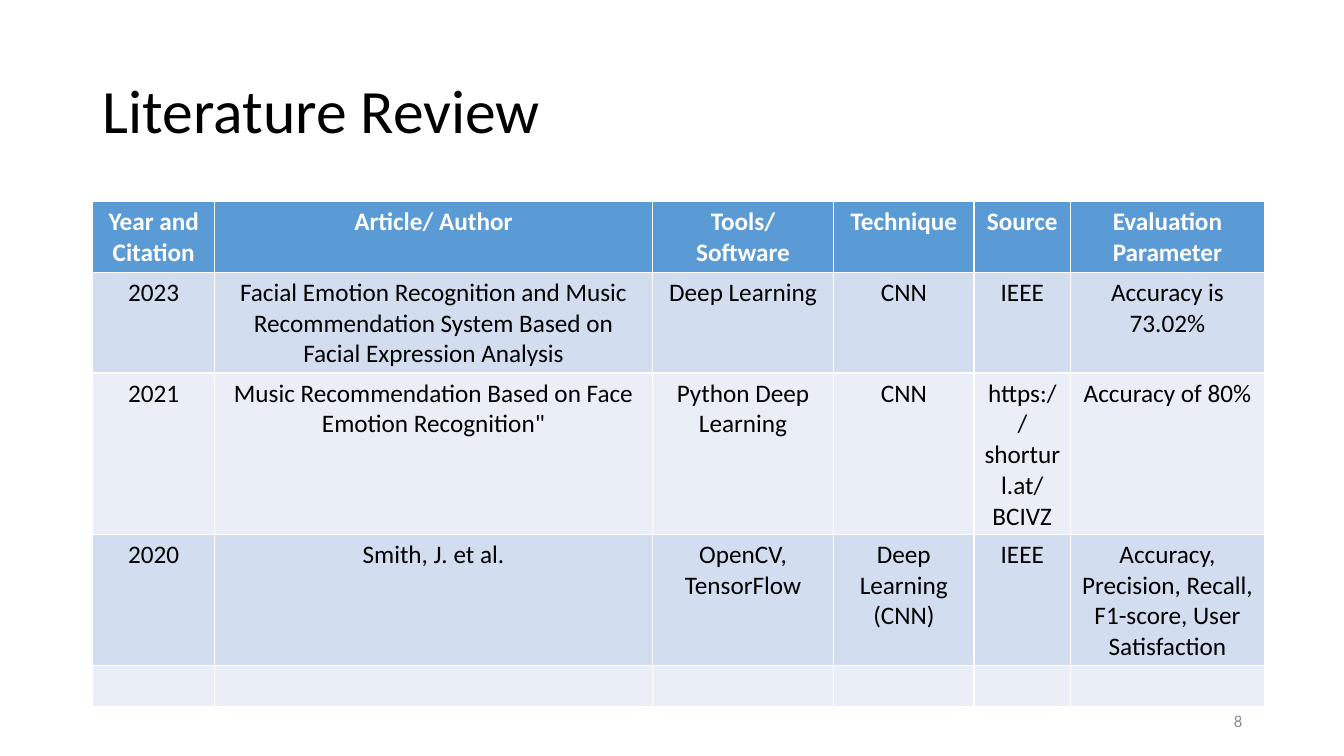
from pptx import Presentation
from pptx.dml.color import RGBColor
from pptx.enum.text import MSO_ANCHOR, PP_ALIGN
from pptx.util import Inches, Pt

LEFT, CENTER, RIGHT = PP_ALIGN.LEFT, PP_ALIGN.CENTER, PP_ALIGN.RIGHT
MIDDLE = MSO_ANCHOR.MIDDLE
FONT = "Calibri"
COLORS = {
    "text": "000000",
    "header_text": "FFFFFF",
    "page_number": "8C8C8C",
    "header": "5B9BD5",
    "band_dark": "D2DEEF",
    "band_light": "EAEFF7",
}
COLUMN_WIDTHS = [1.21, 4.34, 1.8, 1.39, 0.96, 1.92]
ROW_HEIGHT = 0.41
TABLE_ROWS = [
    ["Year and\nCitation", "Article/ Author", "Tools/ Software", "Technique",
     "Source", "Evaluation Parameter"],
    ["2023",
     "Facial Emotion Recognition and Music Recommendation System Based on "
     "Facial Expression Analysis",
     "Deep Learning", "CNN", "IEEE", "Accuracy is 73.02%"],
    ["2021", 'Music Recommendation Based on Face Emotion Recognition"',
     "Python Deep Learning", "CNN", "https://shorturl.at/BCIVZ",
     "Accuracy of 80%"],
    ["2020", "Smith, J. et al.", "OpenCV, TensorFlow", "Deep Learning (CNN)",
     "IEEE", "Accuracy, Precision, Recall, F1-score, User Satisfaction"],
    [""] * len(COLUMN_WIDTHS),
]


def add_run(paragraph, text, size, color, alignment, bold=False):
    """Add one formatted run to an aligned paragraph."""
    paragraph.alignment = alignment
    run = paragraph.add_run()
    run.text = text
    run.font.name = FONT
    run.font.size = Pt(size)
    run.font.bold = bold
    run.font.color.rgb = RGBColor.from_string(COLORS[color])


def add_title(slide, text):
    """Place and fill the title placeholder."""
    title = slide.shapes.title
    title.left, title.top = Inches(0.92), Inches(0.4)
    title.width, title.height = Inches(11.5), Inches(1.45)
    title.text_frame.vertical_anchor = MIDDLE
    paragraph = title.text_frame.paragraphs[0]
    paragraph.line_spacing = 0.9
    add_run(paragraph, text, 44, "text", LEFT)


def add_page_number(slide, text):
    """Add the page number at the lower right."""
    box = slide.shapes.add_textbox(Inches(9.42), Inches(6.95), Inches(3), Inches(0.4))
    frame = box.text_frame
    frame.word_wrap = True
    frame.vertical_anchor = MIDDLE
    add_run(frame.paragraphs[0], text, 12, "page_number", RIGHT)


def fill_cell(cell, text, fill, color, bold):
    """Colour a table cell and write its lines as centred paragraphs."""
    cell.fill.solid()
    cell.fill.fore_color.rgb = RGBColor.from_string(COLORS[fill])
    if not text:
        return
    frame = cell.text_frame
    for index, line in enumerate(text.split("\n")):
        paragraph = frame.add_paragraph() if index else frame.paragraphs[0]
        add_run(paragraph, line, 18, color, CENTER, bold)


def add_review_table(slide):
    """Add the banded literature table."""
    table = slide.shapes.add_table(
        len(TABLE_ROWS), len(COLUMN_WIDTHS), Inches(0.92), Inches(2),
        Inches(sum(COLUMN_WIDTHS)), Inches(ROW_HEIGHT * len(TABLE_ROWS))).table
    for column, width in zip(table.columns, COLUMN_WIDTHS):
        column.width = Inches(width)
    for row_index, texts in enumerate(TABLE_ROWS):
        table.rows[row_index].height = Inches(ROW_HEIGHT)
        is_header = row_index == 0
        band = "band_dark" if row_index % 2 else "band_light"
        fill = "header" if is_header else band
        color = "header_text" if is_header else "text"
        for cell, text in zip(table.rows[row_index].cells, texts):
            fill_cell(cell, text, fill, color, is_header)


def main():
    """Build the literature review slide and save it."""
    presentation = Presentation()
    presentation.slide_width = Inches(13.33)
    presentation.slide_height = Inches(7.5)
    slide = presentation.slides.add_slide(presentation.slide_layouts[5])
    add_title(slide, "Literature Review")
    add_page_number(slide, "8")
    add_review_table(slide)
    presentation.save("out.pptx")


if __name__ == "__main__":
    main()
